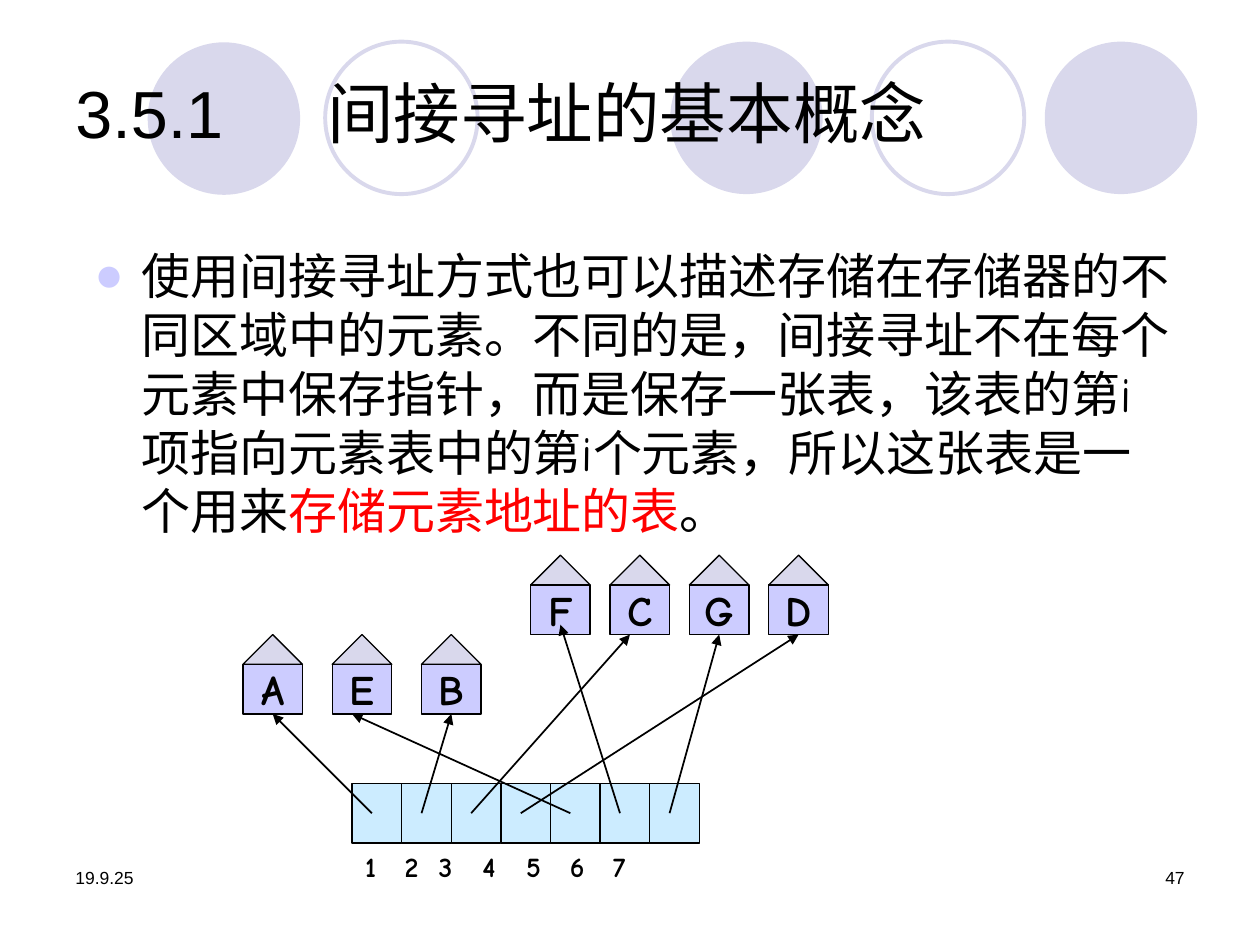
from lxml import etree
from pptx import Presentation
from pptx import util as u
from pptx.dml import color
from pptx.enum import shapes, text
from pptx.oxml import ns

HUES = {"ink": "000000", "pale": "D9D8EC", "wall": "CCCCFF",
        "cell": "CCECFF", "red": "FF0000"}
LEFT, TOP, UNIT = 201.2, 447.7, 5.67
HOUSES = [("A", -11, -12, -8, -7), ("B", 7, -12, 10, -7),
          ("C", 26, -20, 28, -15), ("D", 42, -20, 45, -15),
          ("E", -2, -12, 0, -7), ("F", 18, -20, 21, -16),
          ("G", 34, -20, 37, -15)]
DISCS = [(383, 23.8, True), (597, 23.8, True), (84.4, 24.2, True),
         (498.2, 23.8, False), (185.8, 23.8, False)]
BODY = [("使用间接寻址方式也可以描述存储在存储器的不同区域中的元素。"
         "不同的是，间接寻址不在每个元素中保存指针，而是保存一张表，"
         "该表的第i项指向元素表中的第i个元素，所以这张表是一个用来", "ink"),
        ("存储元素地址的表", "red"), ("。", "ink")]


def hue(name):
    return color.RGBColor.from_string(HUES[name])


def grid(col, row):
    return LEFT + col * UNIT, TOP + row * UNIT


def add(parent, tag, **attrs):
    node = etree.SubElement(parent, ns.qn(tag))
    for key, val in attrs.items():
        node.set(key, str(val))
    return node


def write(frame, runs, size=10, font="Arial", bold=None, align=None,
          anchor="TOP", wrap=True, space=None, before=None, tabs=(),
          bullet=None):
    frame.word_wrap = wrap
    frame.vertical_anchor = text.MSO_ANCHOR[anchor]
    para = frame.paragraphs[0]
    if align:
        para.alignment = text.PP_ALIGN[align]
    if space:
        para.line_spacing = space
    if before:
        para.space_before = u.Pt(before)
    props = para._p.get_or_add_pPr()
    if bullet:
        props.set("marL", str(u.Pt(27)))
        props.set("indent", str(u.Pt(-27)))
        add(add(props, "a:buClr"), "a:srgbClr", val=HUES["wall"])
        add(props, "a:buFont", typeface="Arial")
        add(props, "a:buChar", char=bullet)
    if tabs:
        stops = add(props, "a:tabLst")
        for pos in tabs:
            add(stops, "a:tab", pos=u.Pt(pos), algn="l")
    for words, tint in runs:
        run = para.add_run()
        run.text = words
        run.font.size = u.Pt(size)
        run.font.name = font
        run.font.bold = bold
        run.font.color.rgb = hue(tint)


def label(slide, box, runs, **style):
    item = slide.shapes.add_textbox(*map(u.Pt, box))
    write(item.text_frame, runs, **style)


def block(slide, kind, box, fill=None, line=None, width=0.75):
    item = slide.shapes.add_shape(shapes.MSO_SHAPE[kind], *map(u.Pt, box))
    item.shadow.inherit = False
    if fill:
        item.fill.solid()
        item.fill.fore_color.rgb = hue(fill)
    else:
        item.fill.background()
    if line:
        item.line.color.rgb = hue(line)
        item.line.width = u.Pt(width)
    else:
        item.line.fill.background()
    return item


def house(slide, name, col, row):
    x, y = grid(col, row)
    wide, roof = 6 * UNIT, 3 * UNIT
    block(slide, "ISOSCELES_TRIANGLE", (x, y - roof, wide, roof),
          "pale", "ink")
    wall = block(slide, "RECTANGLE", (x, y, wide, 5 * UNIT), "wall", "ink")
    write(wall.text_frame, [(name, "ink")], size=24, font="Comic Neue",
          bold=True, align="CENTER", anchor="MIDDLE", wrap=False)


def arrow(slide, start, end):
    item = slide.shapes.add_connector(
        shapes.MSO_CONNECTOR.STRAIGHT, *map(u.Pt, start + end))
    item.line.color.rgb = hue("ink")
    item.line.width = u.Pt(1)
    add(item.line._get_or_add_ln(), "a:tailEnd", type="triangle")
    add(item._element.spPr, "a:effectLst")


def main():
    deck = Presentation()
    deck.slide_width, deck.slide_height = u.Pt(720), u.Pt(540)
    slide = deck.slides.add_slide(deck.slide_layouts[6])
    for x, y, full in DISCS:
        block(slide, "OVAL", (x, y, 87.1, 87.1), "pale" if full else None,
              None if full else "pale", 2.25)
    label(slide, (36, 492, 168, 36), [("19.9.25", "ink")])
    label(slide, (516, 492, 168, 36), [("47", "ink")], align="RIGHT")
    label(slide, (36, 21.6, 648, 90),
          [("3.5.1\t间接寻址的基本概念", "ink")],
          size=38, anchor="MIDDLE", space=0.9, tabs=[144])
    label(slide, (46.8, 136.8, 632.2, 171.4), BODY, size=28,
          font="Comic Neue", before=5.6, bullet="●")
    for name, col, row, *tip in HOUSES:
        house(slide, name, col, row)
    for i in range(len(HOUSES)):
        block(slide, "RECTANGLE", (*grid(5 * i, 0), 5 * UNIT, 6 * UNIT),
              "cell", "ink")
    for i, (name, col, row, *tip) in enumerate(HOUSES):
        arrow(slide, grid(5 * i + 2, 3), grid(*tip))
    label(slide, (201.6, 481.7, 209.5, 26.6),
          [("\t".join("1234567"), "ink")], size=16, font="Comic Neue",
          bold=True, before=8, tabs=[22.5, 42, 67, 92, 117, 141.5])
    deck.save("out.pptx")


main()
